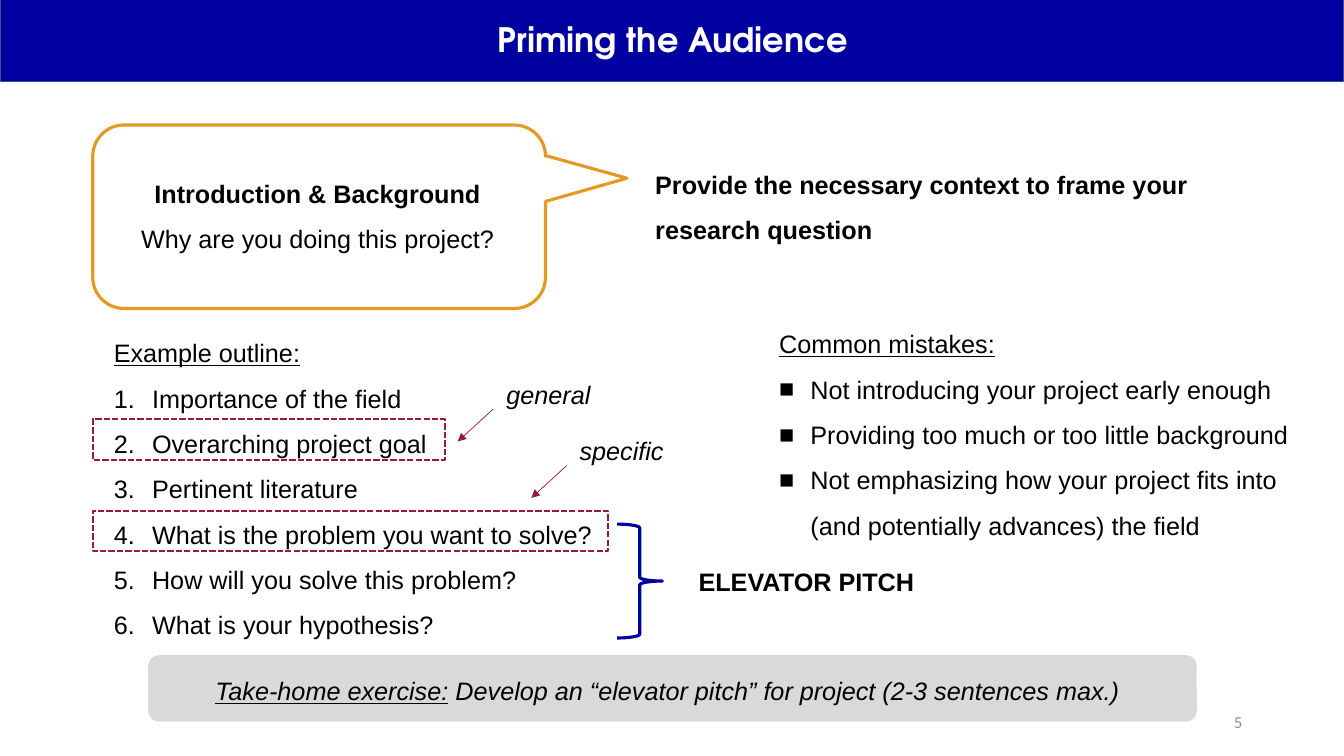
from lxml import etree
from pptx import Presentation
from pptx.dml.color import RGBColor
from pptx.enum import dml, shapes, text
from pptx.oxml.ns import qn
from pptx.util import Inches, Pt

COLORS = {"blue": "0000A0", "edge": "325491", "orange": "E39924", "red": "951B3C",
          "band": "D9D9D9", "number": "8C8C8C", "white": "FFFFFF", "black": "000000"}
SHAPE = shapes.MSO_SHAPE
ALIGN = text.PP_ALIGN
BOLD, ITALIC, UNDERLINE = {"bold": True}, {"italic": True}, {"underline": True}
NUMBER = ("buAutoNum", {"type": "arabicPeriod"})
SQUARE = ("buChar", {"char": "■"})

prs = Presentation()
prs.slide_width, prs.slide_height = Inches(13.33), Inches(7.5)
s = prs.slides.add_slide(prs.slide_layouts[6])


def add_figure(kind, box, fill=None, line=None, width=1, dash=None, adjust=()):
    sp = s.shapes.add_shape(kind, *map(Inches, box))
    sp.shadow.inherit = False
    for i, value in enumerate(adjust):
        sp.adjustments[i] = value
    if fill:
        sp.fill.solid()
        sp.fill.fore_color.rgb = RGBColor.from_string(COLORS[fill])
    else:
        sp.fill.background()
    if line:
        sp.line.color.rgb = RGBColor.from_string(COLORS[line])
        sp.line.width = Pt(width)
        sp.line.dash_style = dash
    else:
        sp.line.fill.background()


def add_text(box, paragraphs, align=ALIGN.LEFT, spacing=None, size=18, font="Arial",
             color="black", middle=False):
    """Each paragraph is (runs, left margin, first-line indent, bullet)."""
    tf = s.shapes.add_textbox(*map(Inches, box)).text_frame
    tf.word_wrap = True
    if middle:
        tf.vertical_anchor = text.MSO_ANCHOR.MIDDLE
    else:
        tf.auto_size = text.MSO_AUTO_SIZE.SHAPE_TO_FIT_TEXT
    for i, (runs, margin, indent, bullet) in enumerate(paragraphs):
        p = tf.paragraphs[0] if i == 0 else tf.add_paragraph()
        p.alignment, p.line_spacing = align, spacing
        pPr = p._p.get_or_add_pPr()
        pPr.set("marL", str(Inches(margin)))
        pPr.set("indent", str(Inches(indent)))
        if bullet:
            etree.SubElement(pPr, qn("a:buFont"), typeface="Arial")
            etree.SubElement(pPr, qn("a:" + bullet[0]), bullet[1])
        for words, style in runs:
            r = p.add_run()
            r.text = words
            r.font.name, r.font.size = font, Pt(size)
            r.font.color.rgb = RGBColor.from_string(COLORS[color])
            for name, value in style.items():
                setattr(r.font, name, value)


# Slide number and title bar
add_text((9.42, 6.96, 3, 0.4), [([("5", {})], 0, 0, None)], ALIGN.RIGHT,
         size=12, font="Calibri", color="number", middle=True)
add_figure(SHAPE.RECTANGLE, (0, -0.02, 13.33, 0.83), "blue", "edge")
add_text((0.92, 0.08, 11.5, 0.67), [([("Priming the Audience", BOLD)], 0, 0, None)],
         ALIGN.CENTER, 0.9, 24, "TeX Gyre Adventor", "white", True)

# Lists, each under an underlined heading
lists = [
    ((0.53, 3.15, 6.31, 3.23), "Example outline:", 0.88, -0.38, NUMBER,
     ["Importance of the field", "Overarching project goal", "Pertinent literature",
      "What is the problem you want to solve?", "How will you solve this problem?",
      "What is your hypothesis?"]),
    ((7.13, 3.06, 5.89, 2.32), "Common mistakes:", 0.81, -0.31, SQUARE,
     ["Not introducing your project early enough",
      "Providing too much or too little background",
      "Not emphasizing how your project fits into (and potentially advances) the field"]),
]
for box, heading, margin, indent, bullet, items in lists:
    rows = [([(heading, UNDERLINE)], 0.5, 0, None)]
    rows += [([(item, {})], margin, indent, bullet) for item in items]
    add_text(box, rows, spacing=1.5)

# Introduction callout and its message
add_text((1.12, 1.57, 4.06, 0.95),
         [([("Introduction & Background", BOLD)], 0, 0, None),
          ([("Why are you doing this project?", {})], 0, 0, None)], ALIGN.CENTER, 1.5)
add_figure(SHAPE.ROUNDED_RECTANGULAR_CALLOUT, (0.92, 1.24, 4.49, 1.82),
           line="orange", width=2.25, adjust=(0.68, -0.21, 0.17))
add_text((6.4, 1.48, 5.61, 0.95),
         [([("Provide the necessary context to frame your research question", BOLD)],
           0, 0, None)], spacing=1.5)

# Take-home band
add_figure(SHAPE.ROUNDED_RECTANGLE, (1.47, 6.5, 10.4, 0.66), "band")
add_text((1.18, 6.5, 10.95, 0.5),
         [([("Take-home exercise:", ITALIC | UNDERLINE),
            (" Develop an “elevator pitch” for project (2-3 sentences max.) ", ITALIC)],
           0, 0, None)], ALIGN.CENTER, 1.5)

# Brace and side labels
add_figure(SHAPE.RIGHT_BRACE, (6.12, 5.2, 0.45, 1.13), line="blue", width=2.25)
for box, label, style, align in [
        ((6.83, 5.57, 3.85, 0.4), "ELEVATOR PITCH", BOLD, ALIGN.LEFT),
        ((4.86, 3.71, 1.16, 0.4), "general", ITALIC, ALIGN.CENTER),
        ((5.65, 4.27, 1.16, 0.4), "specific", ITALIC, ALIGN.LEFT)]:
    add_text(box, [([(label, style)], 0, 0, None)], align)

# Dashed frames around outline items 2 and 4
for top, width in [(4.16, 3.49), (5.07, 5.11)]:
    add_figure(SHAPE.RECTANGLE, (0.92, top, width, 0.4), line="red", width=1.5,
               dash=dml.MSO_LINE.SQUARE_DOT)

# Arrows from the labels to the frames
for x, y in [(4.89, 4.06), (5.62, 4.62)]:
    arrow = s.shapes.add_connector(shapes.MSO_CONNECTOR.STRAIGHT, Inches(x), Inches(y),
                                   Inches(x - 0.35), Inches(y + 0.32))
    arrow.line.color.rgb = RGBColor.from_string(COLORS["red"])
    arrow.line.width = Pt(0.5)
    etree.SubElement(arrow.line._get_or_add_ln(), qn("a:tailEnd"), type="triangle")
    etree.SubElement(arrow._element.spPr, qn("a:effectLst"))

prs.save("out.pptx")
